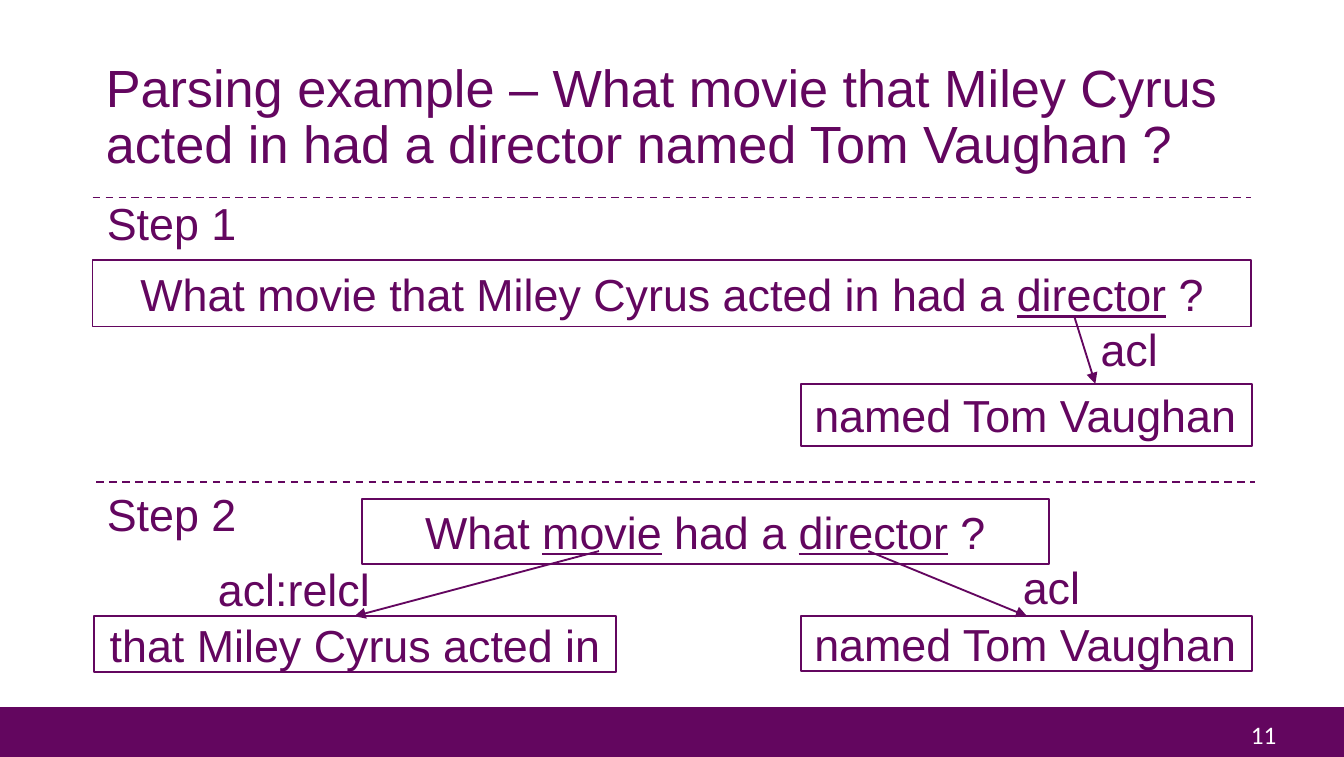
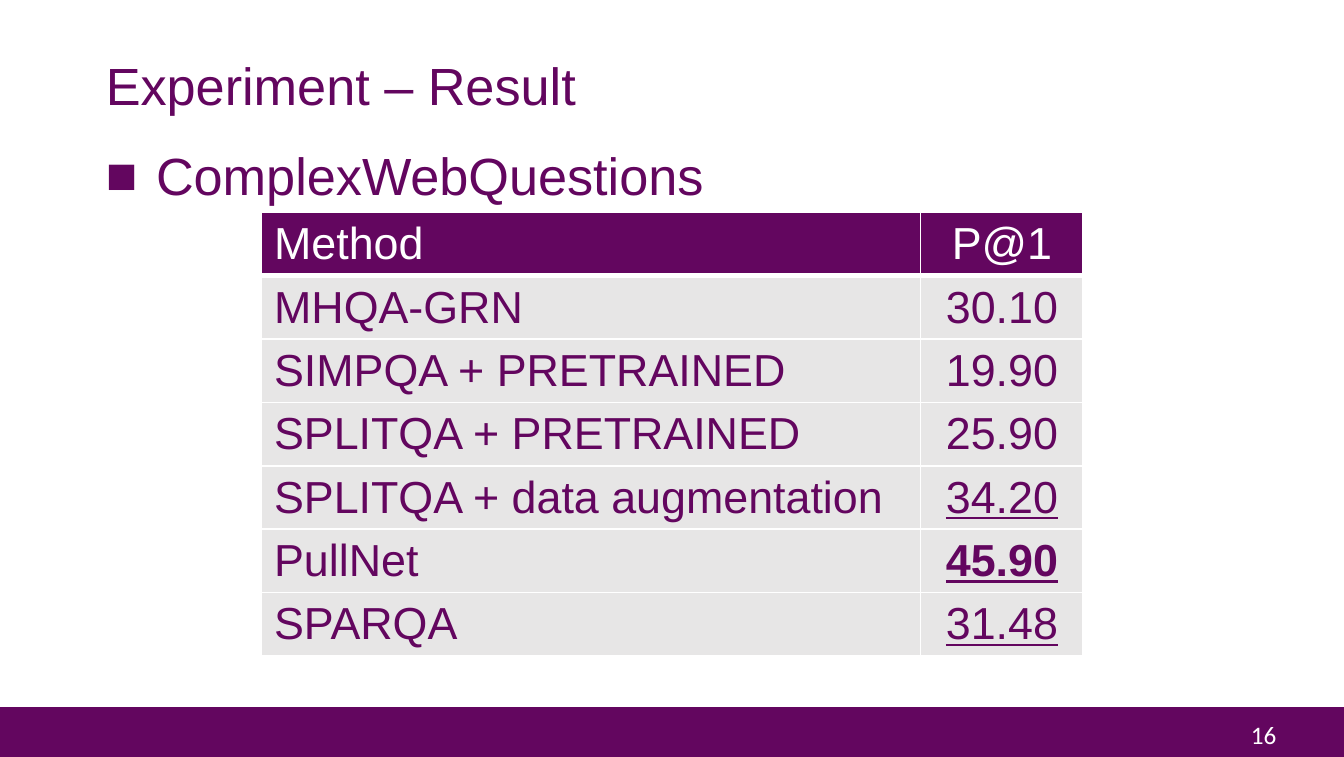
"""Build two slides on question parsing: a worked example and a result table."""
from dataclasses import dataclass
from typing import Any, NamedTuple

import pptx
import pptx.dml.color
import pptx.enum.dml
import pptx.enum.shapes
import pptx.enum.text
import pptx.oxml.ns
import pptx.util

Cm = pptx.util.Cm
Pt = pptx.util.Pt
Align = pptx.enum.text.PP_ALIGN
Anchor = pptx.enum.text.MSO_ANCHOR
qn = pptx.oxml.ns.qn


@dataclass(frozen=True)
class Theme:
    plum: str = "63065F"
    white: str = "FFFFFF"
    grey: str = "E7E6E6"
    face: str = "Arial"
    foot: str = "Calibri"
    head: float = 28
    text: float = 24
    page: float = 13.5
    edge: float = 1
    rule: float = 3
    tight: float = 0.9


class Spot(NamedTuple):
    left: float
    top: float
    width: float
    height: float


@dataclass(frozen=True)
class Box:
    spot: Spot
    text: str
    align: Any = Align.CENTER


class Label(NamedTuple):
    left: float
    top: float
    width: float
    text: str


@dataclass(frozen=True)
class Line:
    start: tuple[float, float]
    end: tuple[float, float]
    arrow: bool = True


class Score(NamedTuple):
    name: str
    value: str
    under: bool = False
    bold: bool = False


THEME = Theme()
EDGE, SPAN = 1.75, 21.9
NAMED = "named Tom Vaughan"
STAR = "that Miley\u00a0Cyrus acted in"

BOXES = [
    Box(Spot(EDGE, 4.92, SPAN, 1.25), f"What movie {STAR} had a _director_ ?"),
    Box(Spot(15.14, 7.25, 8.53, 1.17), NAMED, Align.LEFT),
    Box(Spot(6.84, 9.42, 12.98, 1.24), "What _movie_ had a _director_ ?"),
    Box(Spot(1.77, 11.64, 9.88, 1.06), STAR),
    Box(Spot(15.14, 11.64, 8.52, 1.04), NAMED, Align.LEFT),
]
LABELS = [
    Label(20.55, 5.96, 1.73, "acl"),
    Label(19.08, 10.45, 2.11, "acl"),
    Label(3.87, 10.49, 4.04, "acl:relcl"),
    Label(1.77, 3.58, 3.18, "Step 1"),
    Label(1.77, 9.07, 3.18, "Step 2"),
]
LINES = [
    Line((20.3, 5.97), (20.7, 7.25)),
    Line((11.32, 10.41), (6.7, 11.64)),
    Line((16.41, 10.41), (19.41, 11.64)),
    Line((1.82, 9.1), (23.72, 9.1), arrow=False),
    Line((EDGE, 3.73), (EDGE + SPAN, 3.73), arrow=False),
]
SCORES = [
    Score("MHQA-GRN", "30.10"),
    Score("SIMPQA + PRETRAINED", "19.90"),
    Score("SPLITQA + PRETRAINED", "25.90"),
    Score("SPLITQA + data augmentation", "34.20", under=True),
    Score("PullNet", "45.90", under=True, bold=True),
    Score("SPARQA", "31.48", under=True),
]


def tint(code: str) -> pptx.dml.color.RGBColor:
    return pptx.dml.color.RGBColor.from_string(code)


def style(font: Any, size: float, color: str = THEME.plum, face: str = THEME.face) -> None:
    font.name = face
    font.size = Pt(size)
    font.color.rgb = tint(color)


def write(para: Any, text: str) -> None:
    """Add text as runs, underlining what stands between underscores."""
    for at, part in enumerate(text.split("_")):
        run = para.add_run()
        run.text = part
        if at % 2:
            run.font.underline = True


def place(spot: Spot) -> list[int]:
    return [Cm(side) for side in spot]


def add_text(slide: Any, spot: Spot, text: str, size: float = THEME.text,
             color: str = THEME.plum, face: str = THEME.face) -> Any:
    frame = slide.shapes.add_textbox(*place(spot)).text_frame
    frame.word_wrap = True
    para = frame.paragraphs[0]
    write(para, text)
    style(para.font, size, color, face)
    return frame


def add_rect(slide: Any, spot: Spot, fill: str) -> Any:
    kind = pptx.enum.shapes.MSO_SHAPE.RECTANGLE
    shape = slide.shapes.add_shape(kind, *place(spot))
    shape.shadow.inherit = False
    shape.fill.solid()
    shape.fill.fore_color.rgb = tint(fill)
    return shape


def add_box(slide: Any, box: Box) -> None:
    shape = add_rect(slide, box.spot, THEME.white)
    shape.line.color.rgb = tint(THEME.plum)
    shape.line.width = Pt(THEME.edge)
    frame = shape.text_frame
    frame.word_wrap = True
    frame.vertical_anchor = Anchor.MIDDLE
    para = frame.paragraphs[0]
    para.alignment = box.align
    write(para, box.text)
    style(para.font, THEME.text)


def add_line(slide: Any, line: Line) -> None:
    kind = pptx.enum.shapes.MSO_CONNECTOR.STRAIGHT
    ends = [Cm(side) for side in line.start + line.end]
    link = slide.shapes.add_connector(kind, *ends)
    link.line.color.rgb = tint(THEME.plum)
    link.line.width = Pt(THEME.edge)
    props = link._element.spPr
    if line.arrow:
        stroke = props.find(qn("a:ln"))
        stroke.append(stroke.makeelement(qn("a:tailEnd"), {"type": "triangle"}))
    else:
        link.line.dash_style = pptx.enum.dml.MSO_LINE.DASH
    props.append(props.makeelement(qn("a:effectLst"), {}))


def add_slide(deck: Any, title: str, tall: float, page: int) -> Any:
    """Add a slide with the shared band, page number and title."""
    slide = deck.slides.add_slide(deck.slide_layouts[6])
    band = add_rect(slide, Spot(0, 13.36, 25.4, 0.94), THEME.plum)
    band.line.fill.background()
    add_text(slide, Spot(23.39, 13.47, 1.09, 0.84), str(page),
             THEME.page, THEME.white, THEME.foot)
    frame = add_text(slide, Spot(EDGE, 0.99, SPAN, tall), title, THEME.head)
    frame.vertical_anchor = Anchor.MIDDLE
    frame.paragraphs[0].line_spacing = THEME.tight
    return slide


def add_point(slide: Any, spot: Spot, text: str) -> None:
    para = add_text(slide, spot, text, THEME.head).paragraphs[0]
    para.line_spacing = THEME.tight
    para.space_before = Pt(7.5)
    props = para._p.get_or_add_pPr()
    props.set("marL", str(Cm(0.95)))
    props.set("indent", str(-Cm(0.95)))
    color = props.makeelement(qn("a:buClr"), {})
    color.append(color.makeelement(qn("a:srgbClr"), {"val": THEME.plum}))
    face = props.makeelement(qn("a:buFont"), {"typeface": THEME.face})
    mark = props.makeelement(qn("a:buChar"), {"char": "\u25a0"})
    for part in (color, face, mark):
        props.find(qn("a:defRPr")).addprevious(part)


def add_edges(cell: Any, top: float, base: float) -> None:
    """Draw the white cell borders, with given top and bottom widths."""
    props = cell._tc.get_or_add_tcPr()
    widths = {"lnL": THEME.edge, "lnR": THEME.edge, "lnT": top, "lnB": base}
    for at, (side, width) in enumerate(widths.items()):
        edge = props.makeelement(qn(f"a:{side}"), {"w": str(Pt(width))})
        fill = edge.makeelement(qn("a:solidFill"), {})
        fill.append(fill.makeelement(qn("a:srgbClr"), {"val": THEME.white}))
        edge.append(fill)
        props.insert(at, edge)


def fill_cell(cell: Any, text: str, row: int, col: int) -> Any:
    cell.margin_left = cell.margin_right = Cm(0.25)
    cell.margin_top, cell.margin_bottom = Cm(0.13), Cm(0.05)
    cell.fill.solid()
    cell.fill.fore_color.rgb = tint(THEME.grey if row else THEME.plum)
    add_edges(cell, THEME.rule if row == 1 else THEME.edge,
              THEME.edge if row else THEME.rule)
    para = cell.text_frame.paragraphs[0]
    para.alignment = Align.CENTER if col else Align.LEFT
    write(para, text)
    style(para.font, THEME.text, THEME.plum if row else THEME.white)
    return para.font


def add_scores(slide: Any, scores: list[Score]) -> None:
    rows = [Score("Method", "P@1"), *scores]
    wide, tall = (12.47, 3.07), 0.69
    spot = Spot(4.93, 4.01, sum(wide), tall * len(rows))
    table = slide.shapes.add_table(len(rows), len(wide), *place(spot)).table
    table.first_row = table.horz_banding = False
    for col, width in enumerate(wide):
        table.columns[col].width = Cm(width)
    for row, score in enumerate(rows):
        table.rows[row].height = Cm(tall)
        fill_cell(table.cell(row, 0), score.name, row, 0)
        font = fill_cell(table.cell(row, 1), score.value, row, 1)
        font.underline = score.under
        font.bold = score.bold


def main() -> None:
    deck = pptx.Presentation()
    deck.slide_width, deck.slide_height = Cm(25.4), Cm(14.3)

    title = f"Parsing example \u2013 What movie {STAR} had a director {NAMED} ?"
    slide = add_slide(deck, title, 2.51, 11)
    for box in BOXES:
        add_box(slide, box)
    for label in LABELS:
        add_text(slide, Spot(*label[:3], 1.27), label.text)
    for line in LINES:
        add_line(slide, line)

    slide = add_slide(deck, "Experiment \u2013 Result", 1.37, 16)
    add_point(slide, Spot(EDGE, 2.72, SPAN, 10.11), "ComplexWebQuestions")
    add_scores(slide, SCORES)
    deck.save("out.pptx")


main()
